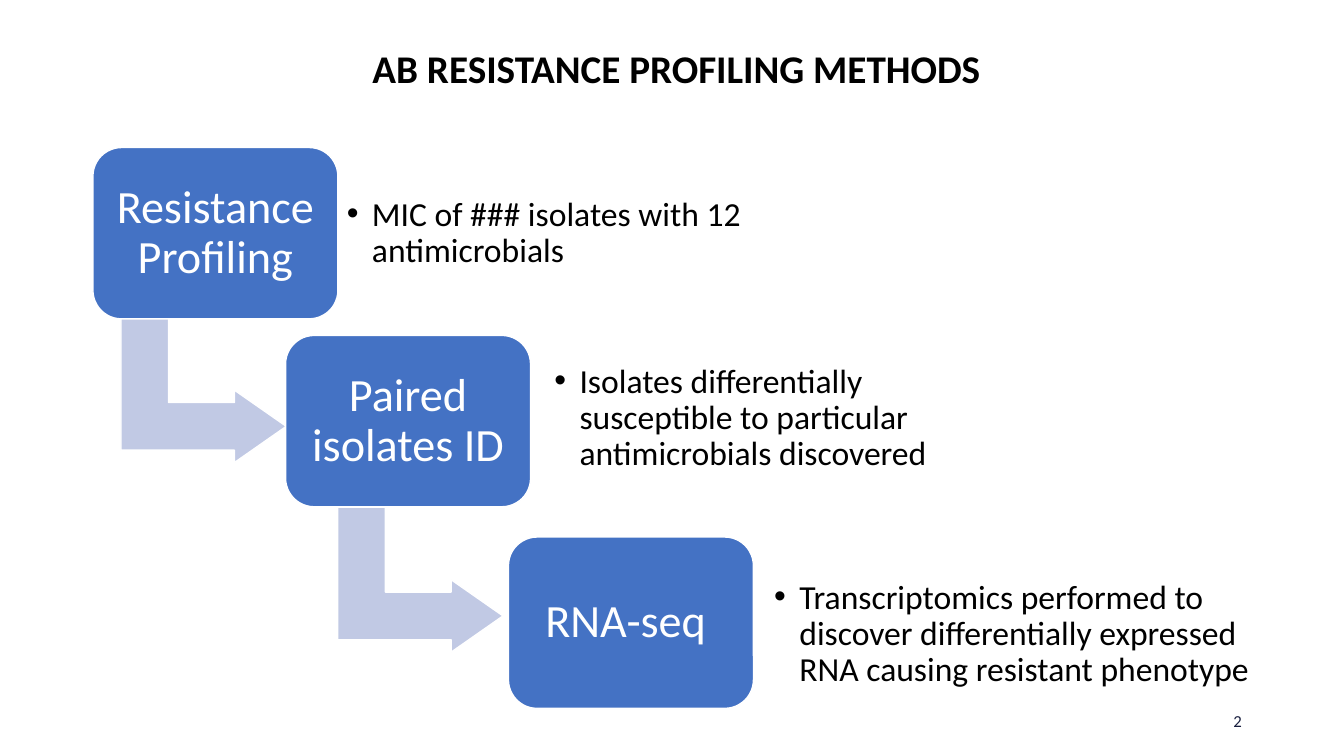
from pptx import Presentation
from pptx.dml.color import RGBColor
from pptx.enum.shapes import MSO_SHAPE
from pptx.enum.text import MSO_ANCHOR, PP_ALIGN
from pptx.oxml.ns import qn
from pptx.util import Pt
from lxml import etree

TITLE = "AB RESISTANCE PROFILING METHODS"
PAGE = "2"
STEPS = [
    {"name": "Resistance Profiling", "box": (66.4, 105.4),
     "detail": "MIC of ### isolates with 12 antimicrobials",
     "detail_at": (238.3, 117.4, 424.8), "arrow": (93.6, 219.6)},
    {"name": "Paired isolates ID", "box": (204, 239.6),
     "detail": "Isolates differentially susceptible to particular antimicrobials discovered",
     "detail_at": (386.6, 249.8, 348.5), "arrow": (248.4, 355)},
    {"name": "RNA-seq ", "box": (363.2, 383.6),
     "detail": "Transcriptomics performed to discover differentially expressed "
               "RNA causing resistant phenotype",
     "detail_at": (543.6, 403.9, 375.1), "arrow": None},
]

BLUE = RGBColor(0x44, 0x72, 0xC4)
PALE = RGBColor(0xC1, 0xC9, 0xE4)
WHITE = RGBColor(0xFF, 0xFF, 0xFF)
BLACK = RGBColor(0, 0, 0)
NAVY = RGBColor(0x19, 0x1F, 0x3F)

BOX_W, BOX_H = 175, 122.4
ARROW_W, ARROW_H = 103.7, 118.1
DETAIL_H = 98.6
INDENT = 18


def write(s, text, size, color, align, inset=None, spacing=None, bold=False):
    tf = s.text_frame
    tf.text = text
    tf.word_wrap = True
    tf.vertical_anchor = MSO_ANCHOR.MIDDLE
    if inset is not None:
        tf.margin_left = tf.margin_right = Pt(inset)
        tf.margin_top = tf.margin_bottom = Pt(inset)
    p = tf.paragraphs[0]
    p.alignment = align
    p.line_spacing = spacing
    font = p.runs[0].font
    font.name, font.size, font.bold = "Calibri", Pt(size), bold
    font.color.rgb = color
    return p


def add_text(slide, x, y, w, h, *args, **kwargs):
    s = slide.shapes.add_textbox(Pt(x), Pt(y), Pt(w), Pt(h))
    return write(s, *args, **kwargs)


def add_filled(slide, kind, x, y, w, h, fill, adjustments):
    s = slide.shapes.add_shape(kind, Pt(x), Pt(y), Pt(w), Pt(h))
    s.shadow.inherit = False
    s.fill.solid()
    s.fill.fore_color.rgb = fill
    s.line.color.rgb = WHITE
    s.line.width = Pt(1)
    for i, value in enumerate(adjustments):
        s.adjustments[i] = value
    return s


def add_bullet(p):
    pPr = p._p.get_or_add_pPr()
    pPr.set("marL", str(Pt(INDENT)))
    pPr.set("indent", str(-Pt(INDENT)))
    etree.SubElement(pPr, qn("a:buFont")).set("typeface", "Arial")
    etree.SubElement(pPr, qn("a:buChar")).set("char", "•")


def add_step(slide, step):
    if step["arrow"]:
        arrow = add_filled(slide, MSO_SHAPE.BENT_UP_ARROW, *step["arrow"],
                           ARROW_W, ARROW_H, PALE, (0.328, 0.25, 0.358))
        arrow.rotation = 90
    box = add_filled(slide, MSO_SHAPE.ROUNDED_RECTANGLE, *step["box"],
                     BOX_W, BOX_H, BLUE, (0.167,))
    write(box, step["name"], 33, WHITE, PP_ALIGN.CENTER, inset=10, spacing=0.9)
    add_bullet(add_text(slide, *step["detail_at"], DETAIL_H, step["detail"],
                        24, BLACK, PP_ALIGN.LEFT, inset=9.4, spacing=0.9))


def main():
    prs = Presentation()
    prs.slide_width, prs.slide_height = Pt(960), Pt(540)
    slide = prs.slides.add_slide(prs.slide_layouts[6])
    add_text(slide, 46.8, 11.5, 872.6, 77.8, TITLE, 28, BLACK,
             PP_ALIGN.CENTER, spacing=0.9, bold=True)
    add_text(slide, 678.2, 500.4, 216, 28.8, PAGE, 12, NAVY, PP_ALIGN.RIGHT)
    for step in STEPS:
        add_step(slide, step)
    prs.save("out.pptx")


if __name__ == "__main__":
    main()
